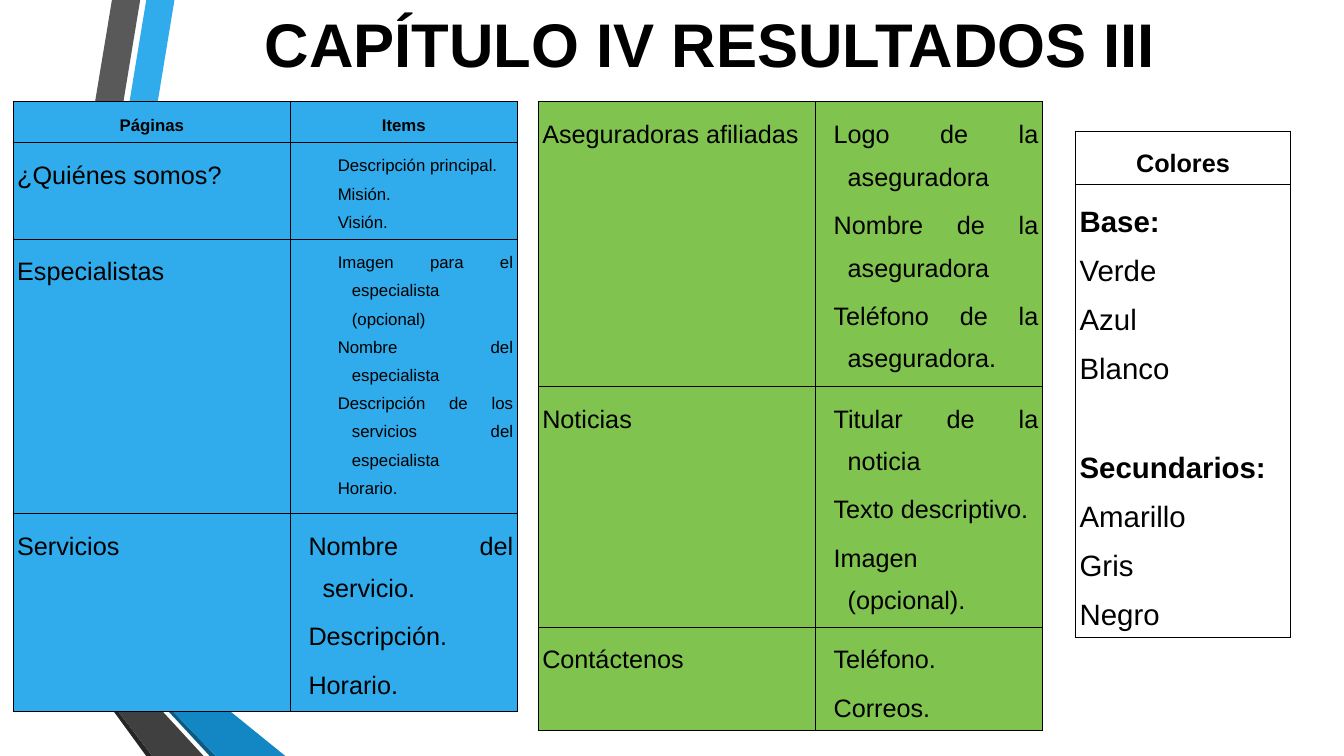
import pptx
import pptx.dml.color
import pptx.enum.text
import pptx.oxml
import pptx.oxml.ns
import pptx.util

ALIGN = pptx.enum.text.PP_ALIGN
BLUE, GREEN, WHITE, BLACK = "30ACEC", "80C34F", "FFFFFF", "000000"

STYLES = {
    "head": dict(size=12, align=ALIGN.CENTER, bold=True),
    "big_head": dict(size=18, align=ALIGN.CENTER, bold=True),
    "page": dict(size=18, after=4.5),
    "small_items": dict(size=12, left=0.57, hanging=0.14),
    "items": dict(size=18, left=0.28, hanging=0.14, after=4.5),
    "colors": dict(size=21),
}

RIBBONS = [
    (BLUE, [(3.75, 77.07), (5.78, 77.73), (12.98, 0), (10.88, 0)]),
    ("595959", [(10.43, 0), (8.33, 0), (1.2, 76.4), (3.3, 76.93)]),
    ("262626", [(1.2, 76.4), (10.88, 100), (11.33, 100)]),
    ("0C5A82", [(3.75, 77.2), (15.6, 100), (16.05, 100)]),
    ("1287C3", [(3.75, 77.2), (16.05, 100), (21.23, 100), (5.78, 77.73), (3.75, 77.07)]),
    ("404040", [(15.15, 100), (3.6, 77.73), (3.23, 77.07), (3.3, 76.93), (1.2, 76.4), (11.33, 100)]),
]

PAGES = [
    [("head", ["Páginas"]), ("head", ["Items"])],
    [("page", ["¿Quiénes somos?"]),
     ("small_items", ["Descripción principal.", "Misión.", "Visión."])],
    [("page", ["Especialistas"]),
     ("small_items", ["Imagen para el especialista (opcional)", "Nombre del especialista",
                      "Descripción de los servicios del especialista", "Horario."])],
    [("page", ["Servicios"]),
     ("items", ["Nombre del servicio.", "Descripción.", "Horario."])],
]

MORE_PAGES = [
    [("page", ["Aseguradoras afiliadas"]),
     ("items", ["Logo de la aseguradora", "Nombre de la aseguradora", "Teléfono de la aseguradora."])],
    [("page", ["Noticias"]),
     ("items", ["Titular de la noticia", "Texto descriptivo.", "Imagen (opcional)."])],
    [("page", ["Contáctenos"]), ("items", ["Teléfono.", "Correos."])],
]

COLORS = [
    [("big_head", ["Colores"])],
    [("colors", ["Base:", "Verde", "Azul", "Blanco", "Secundarios:", "Amarillo", "Gris", "Negro"])],
]


def rgb(value):
    return pptx.dml.color.RGBColor.from_string(value)


class Deck:
    font = "Arial"

    def __init__(self, width, height):
        self.prs = pptx.Presentation()
        self.prs.slide_width = pptx.util.Inches(width)
        self.prs.slide_height = pptx.util.Inches(height)
        self.s = self.prs.slides.add_slide(self.prs.slide_layouts[6])

    def x(self, share):
        return round(self.prs.slide_width * share / 100)

    def y(self, share):
        return round(self.prs.slide_height * share / 100)

    def ribbon(self, color, points):
        points = [(self.x(a), self.y(b)) for a, b in points]
        builder = self.s.shapes.build_freeform(*points[0])
        builder.add_line_segments(points[1:], close=True)
        sp = builder.convert_to_shape()
        sp.shadow.inherit = False
        sp.fill.solid()
        sp.fill.fore_color.rgb = rgb(color)
        sp.line.fill.background()

    def paragraph(self, p, size, align=ALIGN.JUSTIFY, bold=False, spacing=1.5,
                  after=0, left=0, hanging=0):
        p.alignment = align
        p.line_spacing = spacing
        p.space_after = pptx.util.Pt(after)
        if left:
            pPr = p._p.get_or_add_pPr()
            pPr.set("marL", str(pptx.util.Inches(left)))
            pPr.set("indent", str(-pptx.util.Inches(hanging)))
        for r in p.runs:
            r.font.name = self.font
            r.font.size = pptx.util.Pt(size)
            r.font.bold = bold
            r.font.color.rgb = rgb(BLACK)

    def title(self, text, x, y, w, h):
        tf = self.s.shapes.add_textbox(self.x(x), self.y(y), self.x(w), self.y(h)).text_frame
        tf.word_wrap = True
        tf.vertical_anchor = pptx.enum.text.MSO_ANCHOR.MIDDLE
        tf.text = text
        self.paragraph(tf.paragraphs[0], 44, ALIGN.CENTER, True, 0.9)

    def borders(self, cell):
        tcPr = cell._tc.get_or_add_tcPr()
        for side in "LRTB":
            tcPr.append(pptx.oxml.parse_xml(
                f'<a:ln{side} {pptx.oxml.ns.nsdecls("a")} w="{pptx.util.Pt(0.57)}">'
                f'<a:solidFill><a:srgbClr val="{BLACK}"/></a:solidFill></a:ln{side}>'))

    def cell(self, cell, style, lines, color):
        self.borders(cell)
        cell.fill.solid()
        cell.fill.fore_color.rgb = rgb(color)
        cell.margin_left = cell.margin_right = pptx.util.Inches(0.04)
        cell.margin_top = cell.margin_bottom = pptx.util.Inches(0.05)
        tf = cell.text_frame
        tf.text = "\n".join(lines)
        for i, p in enumerate(tf.paragraphs):
            look = dict(STYLES[style])
            if p.text.endswith(":"):
                look["bold"] = True
                p.space_before = pptx.util.Pt(35 if i else 0)
            self.paragraph(p, **look)

    def table(self, x, y, cols, rows, color, content):
        table = self.s.shapes.add_table(len(rows), len(cols), self.x(x), self.y(y),
                                        self.x(sum(cols)), self.y(sum(rows))).table
        table.first_row = table.horz_banding = False
        for column, width in zip(table.columns, cols):
            column.width = self.x(width)
        for i, height in enumerate(rows):
            table.rows[i].height = self.y(height)
            for j, (style, lines) in enumerate(content[i]):
                self.cell(table.cell(i, j), style, lines, color)


def main():
    deck = Deck(13.33, 7.5)
    for color, points in RIBBONS:
        deck.ribbon(color, points)
    page_cols = [20.63, 16.88]
    deck.table(0.98, 13.47, page_cols, [5.33, 12.8, 36.27, 26.27], BLUE, PAGES)
    deck.table(40.05, 13.47, page_cols, [37.6, 31.87, 13.73], GREEN, MORE_PAGES)
    deck.table(80.03, 17.33, [15.98], [7.07, 59.87], WHITE, COLORS)
    deck.title("CAPÍTULO IV RESULTADOS III", 9.75, 1.73, 86.25, 9.07)
    deck.prs.save("out.pptx")


if __name__ == "__main__":
    main()
